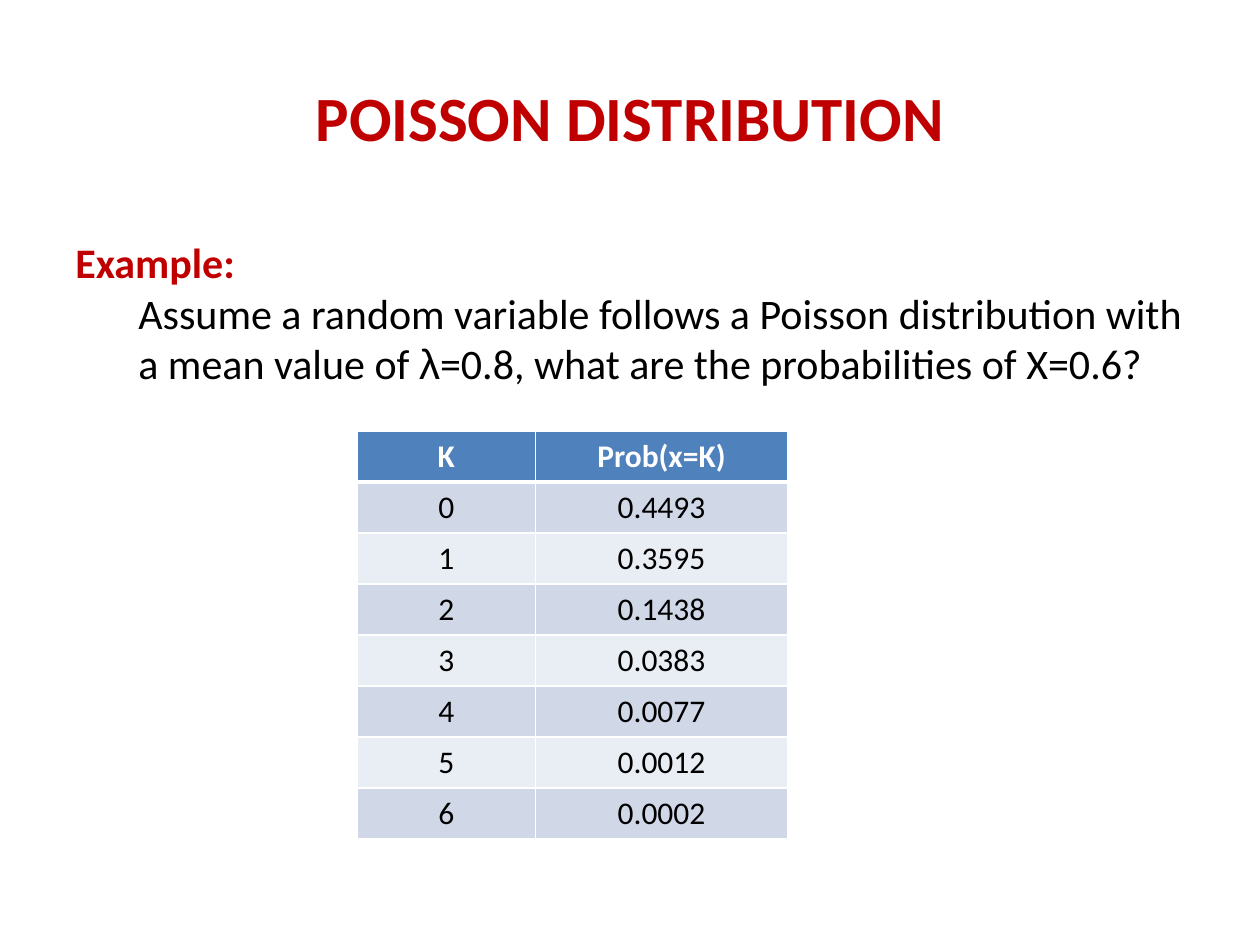
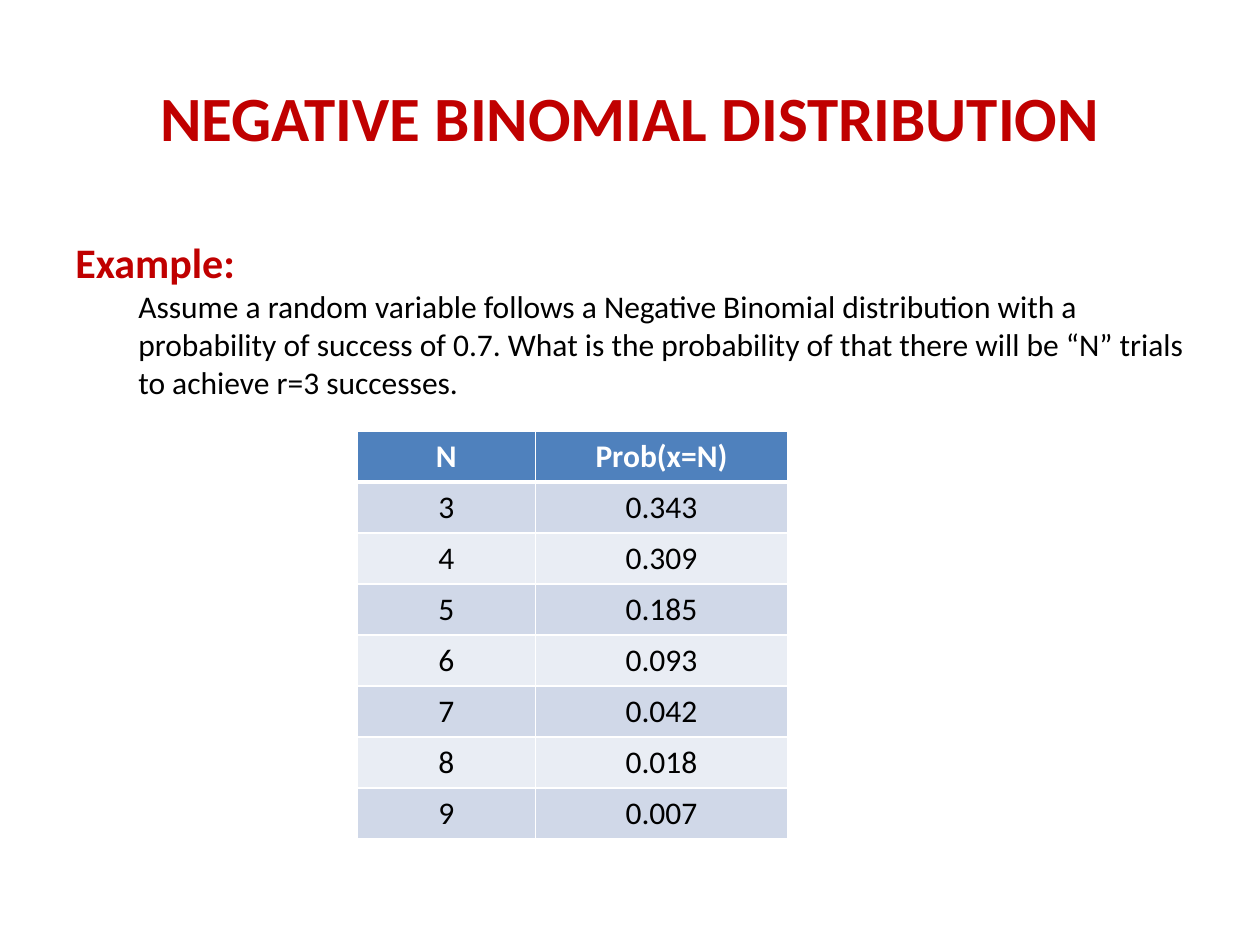
from lxml import etree
from pptx import Presentation
from pptx import util as u
from pptx.dml import color
from pptx.enum import text
from pptx.oxml import ns

RED, BLACK, WHITE = "C00000", "000000", "FFFFFF"
HEADER_FILL = "4F81BD"
BAND_FILLS = ("D0D8E8", "E9EDF4")
FONT, GREEK_FONT = "Calibri", "Arial"
TITLE_BOX = (36, 21.6, 648, 90)
EXAMPLE_BOX = (36, 131.76, 648, 94.5)
TABLE_BOX = (204, 246.24, 246, 233.28)
KEY_COLUMN_WIDTH = 102
QUESTION_INDENT = 36

EXAMPLES = [
    {
        "title": "POISSON DISTRIBUTION",
        "size": 24,
        "question": [
            ("Assume a random variable follows a Poisson distribution with a mean value of ", FONT),
            ("λ", GREEK_FONT),
            ("=0.8, what are the probabilities of X=0.6?", FONT),
        ],
        "rows": [("K", "Prob(x=K)"), ("0", "0.4493"), ("1", "0.3595"), ("2", "0.1438"),
                 ("3", "0.0383"), ("4", "0.0077"), ("5", "0.0012"), ("6", "0.0002")],
    },
    {
        "title": "NEGATIVE BINOMIAL DISTRIBUTION",
        "size": 18,
        "question": [
            ("Assume a random variable follows a Negative Binomial distribution with a "
             "probability of success of 0.7. What is the probability of that there will be "
             "“N” trials to achieve r=3 successes.", FONT),
        ],
        "rows": [("N", "Prob(x=N)"), ("3", "0.343"), ("4", "0.309"), ("5", "0.185"),
                 ("6", "0.093"), ("7", "0.042"), ("8", "0.018"), ("9", "0.007")],
    },
]


def rgb(value):
    """Turn a hex string into a colour."""
    return color.RGBColor.from_string(value)


def add_span(para, words, size, ink, bold=False, font=FONT):
    """Add one formatted run to a paragraph."""
    span = para.add_run()
    span.text = words
    span.font.size = u.Pt(size)
    span.font.name = font
    span.font.bold = bold
    span.font.color.rgb = rgb(ink)


def add_frame(page, box):
    """Add a wrapping text box and return its text frame."""
    frame = page.shapes.add_textbox(*map(u.Pt, box)).text_frame
    frame.word_wrap = True
    return frame


def add_title(page, box, words):
    """Add the centred slide title."""
    frame = add_frame(page, box)
    frame.vertical_anchor = text.MSO_ANCHOR.MIDDLE
    para = frame.paragraphs[0]
    para.alignment = text.PP_ALIGN.CENTER
    add_span(para, words, 36, RED, bold=True)


def add_example(page, box, question, size):
    """Add the example heading and the indented question below it."""
    frame = add_frame(page, box)
    frame.auto_size = text.MSO_AUTO_SIZE.SHAPE_TO_FIT_TEXT
    add_span(frame.paragraphs[0], "Example:", 24, RED, bold=True)
    para = frame.add_paragraph()
    para.level = 1
    indent = para._p.get_or_add_pPr()
    indent.set("marL", str(u.Pt(QUESTION_INDENT)))
    indent.set("indent", "0")
    for words, font in question:
        add_span(para, words, size, BLACK, font=font)


def add_borders(cell, top, bottom):
    """Draw white borders around a cell."""
    properties = cell._tc.get_or_add_tcPr()
    for side, width in (("L", 1), ("R", 1), ("T", top), ("B", bottom)):
        line = etree.SubElement(properties, ns.qn(f"a:ln{side}"), w=str(u.Pt(width)))
        fill = etree.SubElement(line, ns.qn("a:solidFill"))
        etree.SubElement(fill, ns.qn("a:srgbClr"), val=WHITE)


def add_probability_table(page, box, rows):
    """Add the banded table of probabilities."""
    table = page.shapes.add_table(len(rows), 2, *map(u.Pt, box)).table
    width, height = box[2:]
    table.columns[0].width = u.Pt(KEY_COLUMN_WIDTH)
    table.columns[1].width = u.Pt(width - KEY_COLUMN_WIDTH)
    for index, values in enumerate(rows):
        header = index == 0
        table.rows[index].height = u.Pt(height / len(rows))
        for column, words in enumerate(values):
            cell = table.cell(index, column)
            add_borders(cell, top=3 if index == 1 else 1, bottom=3 if header else 1)
            cell.fill.solid()
            cell.fill.fore_color.rgb = rgb(HEADER_FILL if header else BAND_FILLS[(index - 1) % 2])
            para = cell.text_frame.paragraphs[0]
            para.alignment = text.PP_ALIGN.CENTER
            add_span(para, words, 18, WHITE if header else BLACK, bold=header)


def add_example_page(deck, example):
    """Add one slide with a title, an example and its table."""
    page = deck.slides.add_slide(deck.slide_layouts[6])
    add_title(page, TITLE_BOX, example["title"])
    add_example(page, EXAMPLE_BOX, example["question"], example["size"])
    add_probability_table(page, TABLE_BOX, example["rows"])


def main():
    """Build and save the deck."""
    deck = Presentation()
    deck.slide_width, deck.slide_height = u.Pt(720), u.Pt(540)
    for example in EXAMPLES:
        add_example_page(deck, example)
    deck.save("out.pptx")


if __name__ == "__main__":
    main()
